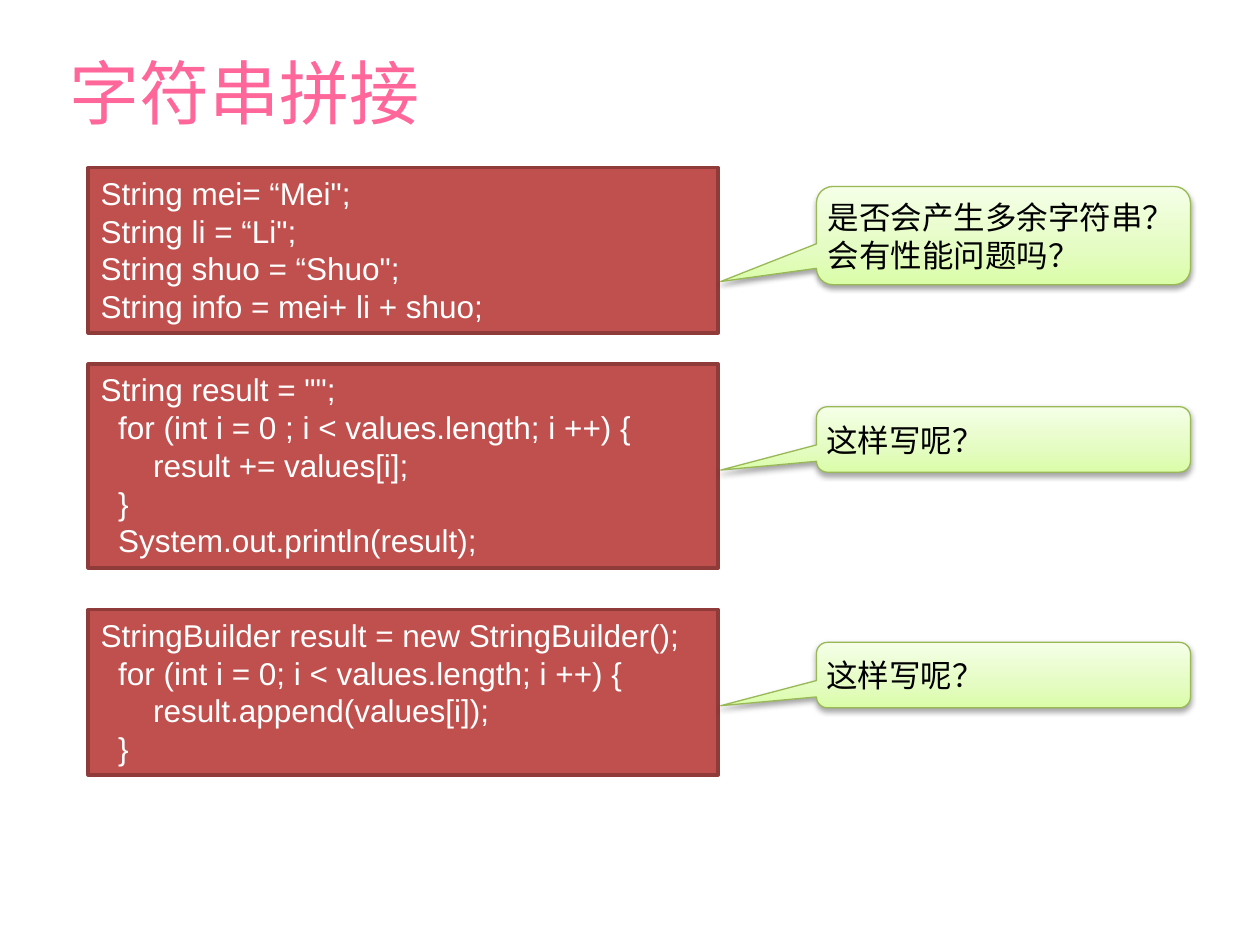
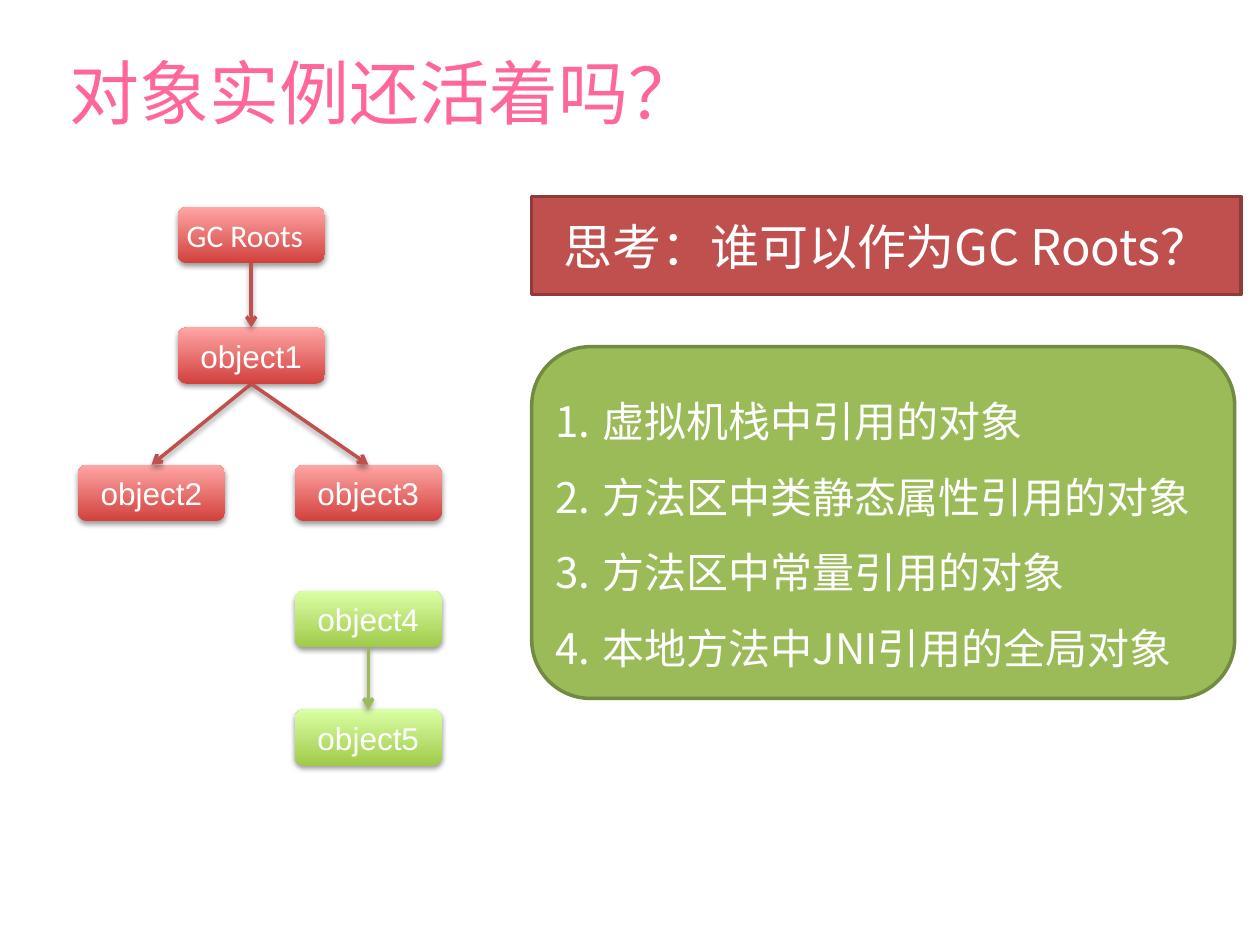
from dataclasses import dataclass
from typing import Any

from lxml.etree import SubElement
from pptx import Presentation
from pptx.dml.color import RGBColor
from pptx.enum.shapes import MSO_CONNECTOR, MSO_SHAPE
from pptx.enum.text import MSO_ANCHOR, MSO_AUTO_SIZE, PP_ALIGN
from pptx.oxml.ns import qn
from pptx.util import Cm, Pt

COLOURS = {
    "title": "FF6699", "white": "FFFFFF", "black": "000000",
    "red": "C0504D", "red_edge": "8E3B39",
    "green": "9BBB59", "green_edge": "738A42", "callout_edge": "98B955",
}
CALLOUT_STOPS = [(0, "DAFDA7"), (35, "E4FCC2"), (100, "F5FFE7")]
NODE_STOPS = {
    "red": [(0, "D1403C"), (100, "FFA6A5")],
    "green": [(0, "A0CA4A"), (100, "DAFFA5")],
}
CHINESE, LATIN = "Noto Sans CJK SC", "Arial"
NARROW = Cm(0.13)
TIGHT = {f"margin_{side}": NARROW for side in ("left", "right", "top", "bottom")}
MIDDLE = TIGHT | {"vertical_anchor": MSO_ANCHOR.MIDDLE, "word_wrap": True}
TOP, BOTTOM = 0, 2


@dataclass(frozen=True)
class Box:
    left: float
    top: float
    width: float
    height: float

    def lengths(self) -> list[Cm]:
        return [Cm(value) for value in (self.left, self.top, self.width, self.height)]


@dataclass(frozen=True)
class TextStyle:
    size: int
    font: str = CHINESE
    colour: str = "white"
    alignment: PP_ALIGN = PP_ALIGN.LEFT


@dataclass(frozen=True)
class CodeExample:
    top: float
    height: float
    code: list[str]
    callout_top: float
    callout_height: float
    question: list[str]


@dataclass(frozen=True)
class Node:
    name: str
    left: float
    top: float
    colour: str = "red"
    style: TextStyle = TextStyle(18, LATIN, alignment=PP_ALIGN.CENTER)


EXAMPLES = [
    CodeExample(3.38, 3.33, [
        'String mei= “Mei";',
        'String li = “Li";',
        'String shuo = “Shuo";',
        "String info = mei+ li + shuo;",
    ], 3.76, 1.98, ["是否会产生多余字符串？", "会有性能问题吗？"]),
    CodeExample(7.34, 4.11, [
        'String result = "";',
        "  for (int i = 0 ; i < values.length; i ++) {",
        "      result += values[i];",
        "  }",
        "  System.out.println(result);",
    ], 8.2, 1.32, ["这样写呢？"]),
    CodeExample(12.29, 3.33, [
        "StringBuilder result = new StringBuilder();",
        "  for (int i = 0; i < values.length; i ++) {",
        "      result.append(values[i]);",
        "  }",
    ], 12.95, 1.32, ["这样写呢？"]),
]
NODES = [
    Node("GC Roots", 3.58, 4.17, style=TextStyle(18, "Calibri")),
    Node("object1", 3.58, 6.6),
    Node("object2", 1.57, 9.37),
    Node("object3", 5.94, 9.37),
    Node("object4", 5.94, 11.91, "green"),
    Node("object5", 5.94, 14.3, "green"),
]
REFERENCES = [
    ("GC Roots", "object1", "red"),
    ("object1", "object2", "red"),
    ("object1", "object3", "red"),
    ("object4", "object5", "green"),
]
ROOT_KINDS = [
    "虚拟机栈中引用的对象",
    "方法区中类静态属性引用的对象",
    "方法区中常量引用的对象",
    "本地方法中JNI引用的全局对象",
]


def set_format(target: Any, values: dict[str, Any]) -> None:
    for name, value in values.items():
        setattr(target, name, value)


def colour_of(name: str) -> RGBColor:
    return RGBColor.from_string(COLOURS[name])


def write_text(shape: Any, lines: list[str], style: TextStyle, frame_format: dict[str, Any]) -> None:
    frame = shape.text_frame
    set_format(frame, frame_format)
    for index, line in enumerate(lines):
        paragraph = frame.paragraphs[0] if index == 0 else frame.add_paragraph()
        paragraph.alignment = style.alignment
        run = paragraph.add_run()
        run.text = line
        set_format(run.font, {"size": Pt(style.size), "name": style.font})
        run.font.color.rgb = colour_of(style.colour)
        SubElement(run._r.get_or_add_rPr(), qn("a:ea"), typeface=style.font)


def add_title(slide: Any, text: str) -> None:
    title = slide.shapes.title
    place(title, Box(1.27, 0, 22.86, 3.68))
    write_text(title, [text], TextStyle(40, colour="title"), MIDDLE | {"auto_size": MSO_AUTO_SIZE.NONE})


def place(shape: Any, box: Box) -> None:
    set_format(shape, dict(zip(("left", "top", "width", "height"), box.lengths())))


def set_line(shape: Any, colour: str, width: float) -> None:
    shape.line.color.rgb = colour_of(colour)
    shape.line.width = Pt(width)


def add_panel(slide: Any, kind: MSO_SHAPE, box: Box, colour: str) -> Any:
    panel = slide.shapes.add_shape(kind, *box.lengths())
    panel.shadow.inherit = False
    panel.fill.solid()
    panel.fill.fore_color.rgb = colour_of(colour)
    set_line(panel, f"{colour}_edge", 2)
    return panel


def set_gradient(shape: Any, stops: list[tuple[int, str]]) -> None:
    shape.fill.gradient()
    shape.fill.gradient_angle = 90
    stop_list = shape._element.spPr.find(qn("a:gradFill")).find(qn("a:gsLst"))
    for stop in list(stop_list):
        stop_list.remove(stop)
    for position, colour in stops:
        stop = SubElement(stop_list, qn("a:gs"), pos=str(position * 1000))
        SubElement(stop, qn("a:srgbClr"), val=colour)


def add_shadow(shape: Any, opacity: int, distance: float) -> None:
    properties = shape._element.spPr
    effects = properties.find(qn("a:effectLst"))
    if effects is None:
        effects = SubElement(properties, qn("a:effectLst"))
    shadow = SubElement(effects, qn("a:outerShdw"), blurRad=str(Pt(3)), dist=str(Pt(distance)),
                        dir="5400000", rotWithShape="0")
    colour = SubElement(shadow, qn("a:srgbClr"), val=COLOURS["black"])
    SubElement(colour, qn("a:alpha"), val=str(opacity * 1000))


def add_example(slide: Any, example: CodeExample) -> None:
    panel = add_panel(slide, MSO_SHAPE.RECTANGLE, Box(1.78, example.top, 12.7, example.height), "red")
    write_text(panel, example.code, TextStyle(18, LATIN), {
        "vertical_anchor": MSO_ANCHOR.TOP, "word_wrap": True, "auto_size": MSO_AUTO_SIZE.SHAPE_TO_FIT_TEXT})


def add_callout(slide: Any, example: CodeExample) -> None:
    box = Box(16.46, example.callout_top, 7.54, example.callout_height)
    callout = slide.shapes.add_shape(MSO_SHAPE.ROUNDED_RECTANGULAR_CALLOUT, *box.lengths())
    for index, value in enumerate((-0.756, 0.468, 0.167)):
        callout.adjustments[index] = value
    callout.shadow.inherit = False
    set_gradient(callout, CALLOUT_STOPS)
    set_line(callout, "callout_edge", 0.75)
    add_shadow(callout, 35, 1.8)
    write_text(callout, example.question, TextStyle(18, colour="black"), MIDDLE)


def add_node(slide: Any, node: Node) -> Any:
    box = Box(node.left, node.top, 2.97, 1.14)
    shape = slide.shapes.add_shape(MSO_SHAPE.ROUNDED_RECTANGLE, *box.lengths())
    shape.shadow.inherit = False
    set_gradient(shape, NODE_STOPS[node.colour])
    shape.line.fill.background()
    add_shadow(shape, 38, 1.6)
    write_text(shape, [node.name], node.style, MIDDLE)
    return shape


def add_reference(slide: Any, holder: Any, target: Any, colour: str) -> None:
    connector = slide.shapes.add_connector(MSO_CONNECTOR.STRAIGHT, 0, 0, 0, 0)
    connector.begin_connect(holder, BOTTOM)
    connector.end_connect(target, TOP)
    set_line(connector, colour, 2)
    SubElement(connector._element.spPr.find(qn("a:ln")), qn("a:tailEnd"), type="arrow")
    add_shadow(connector, 35, 1.8)


def add_root_list(slide: Any) -> None:
    add_panel(slide, MSO_SHAPE.ROUNDED_RECTANGLE, Box(10.72, 6.99, 14.17, 7.09), "green")
    body = slide.placeholders[1]
    place(body, Box(11.07, 7.34, 13.8, 6.5))
    slide.shapes._spTree.append(body._element)
    write_text(body, ROOT_KINDS, TextStyle(24), TIGHT | {
        "vertical_anchor": MSO_ANCHOR.TOP, "word_wrap": True, "auto_size": MSO_AUTO_SIZE.NONE})
    for paragraph in body.text_frame.paragraphs:
        set_format(paragraph, {"line_spacing": 1.5, "space_before": Pt(0)})
        properties = paragraph._p.get_or_add_pPr()
        set_format(properties, {"marL": Cm(1.27), "indent": -Cm(1.27)})
        SubElement(properties, qn("a:buFont"), typeface=CHINESE)
        SubElement(properties, qn("a:buAutoNum"), type="arabicPeriod")


def build_concatenation_slide(presentation: Any) -> None:
    slide = presentation.slides.add_slide(presentation.slide_layouts[5])
    add_title(slide, "字符串拼接")
    for example in EXAMPLES:
        add_example(slide, example)
    for example in EXAMPLES:
        add_callout(slide, example)


def build_reachability_slide(presentation: Any) -> None:
    slide = presentation.slides.add_slide(presentation.slide_layouts[1])
    add_title(slide, "对象实例还活着吗？")
    shapes = {node.name: add_node(slide, node) for node in NODES}
    for holder, target, colour in REFERENCES:
        add_reference(slide, shapes[holder], shapes[target], colour)
    add_root_list(slide)
    question = add_panel(slide, MSO_SHAPE.RECTANGLE, Box(10.72, 3.96, 14.3, 1.98), "red")
    write_text(question, ["思考：谁可以作为GC Roots？"], TextStyle(28, alignment=PP_ALIGN.CENTER),
               MIDDLE | {"word_wrap": False})


def main() -> None:
    presentation = Presentation()
    set_format(presentation, {"slide_width": Cm(25.4), "slide_height": Cm(19.05)})
    build_concatenation_slide(presentation)
    build_reachability_slide(presentation)
    presentation.save("out.pptx")


if __name__ == "__main__":
    main()
